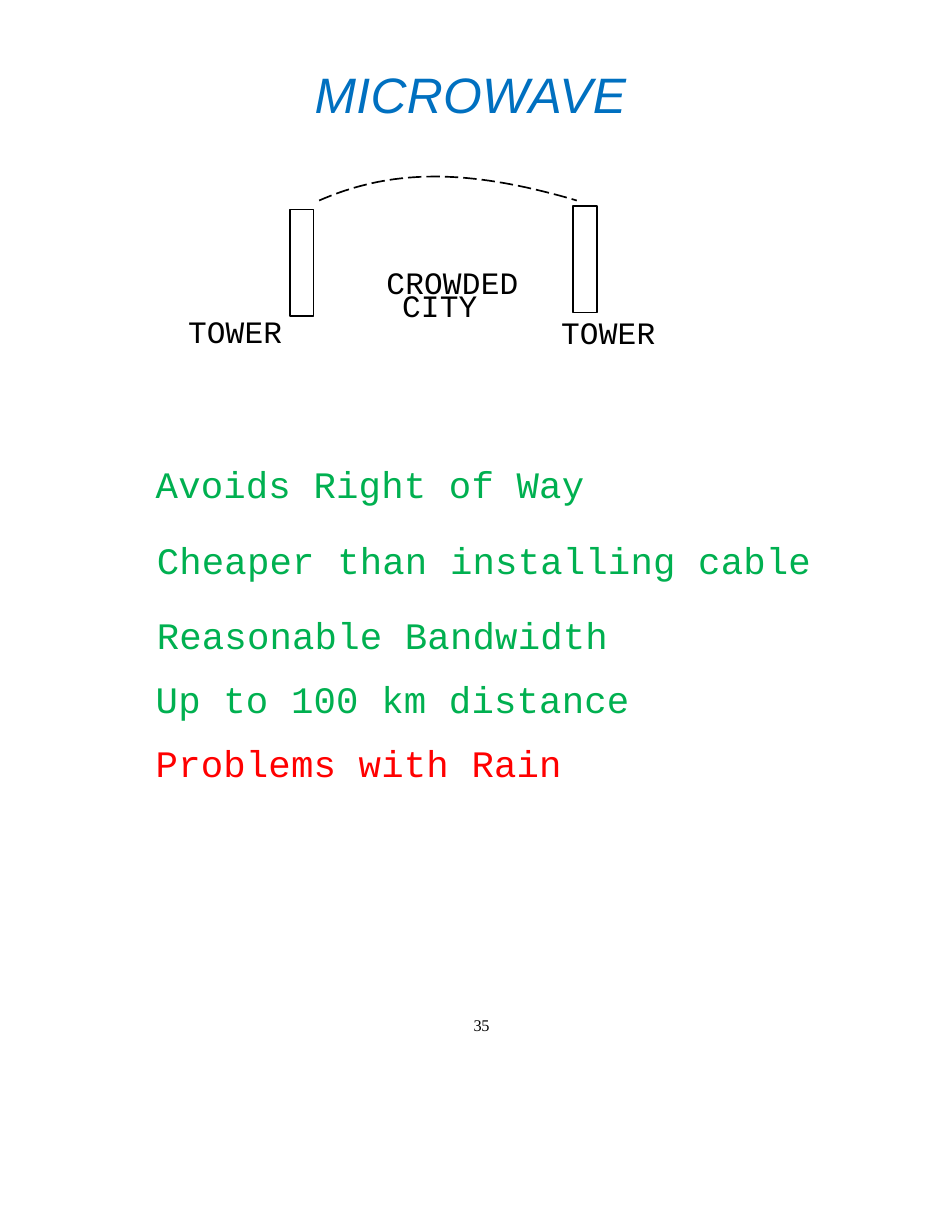
from pptx import Presentation
from pptx.dml.color import RGBColor
from pptx.enum.dml import MSO_LINE_DASH_STYLE as Dash
from pptx.enum.shapes import MSO_SHAPE as Shape
from pptx.util import Pt

BLACK = RGBColor(0x00, 0x00, 0x00)
BLUE = RGBColor(0x00, 0x70, 0xC0)
GREEN = RGBColor(0x00, 0xB0, 0x50)
RED = RGBColor(0xFF, 0x00, 0x00)

TITLE = {"name": "Arial", "size": Pt(32), "italic": True}
LABEL = {"name": "Courier New", "size": Pt(20)}
POINT = {"name": "Courier New", "size": Pt(24)}
NUMBER = {"name": "Times New Roman", "size": Pt(10.5)}


class SlideBuilder:
    line_width = Pt(1.09)

    def __init__(self, page):
        self.page = page

    def outline(self, shape):
        shape.shadow.inherit = False
        shape.fill.background()
        shape.line.color.rgb = BLACK
        shape.line.width = self.line_width

    def tower(self, left, top):
        shape = self.page.shapes.add_shape(
            Shape.RECTANGLE, Pt(left), Pt(top), Pt(15.2), Pt(68.4))
        self.outline(shape)

    def beam(self, start, pull_start, pull_end, end, steps=40):
        corners = (start, pull_start, pull_end, end)
        points = []
        for step in range(steps + 1):
            t = step / steps
            weights = ((1 - t) ** 3, 3 * t * (1 - t) ** 2, 3 * t * t * (1 - t), t ** 3)
            points.append(tuple(
                Pt(sum(w * corner[axis] for w, corner in zip(weights, corners)))
                for axis in (0, 1)))
        builder = self.page.shapes.build_freeform(*points[0])
        builder.add_line_segments(points[1:], close=False)
        shape = builder.convert_to_shape()
        self.outline(shape)
        shape.line.dash_style = Dash.LONG_DASH

    def text(self, left, top, width, height):
        box = self.page.shapes.add_textbox(Pt(left), Pt(top), Pt(width), Pt(height))
        frame = box.text_frame
        for side in ("left", "top", "right", "bottom"):
            setattr(frame, f"margin_{side}", 0)
        frame.word_wrap = True
        return frame

    def fill_para(self, para, words, font, color=BLACK, margin=0.7, indent=0,
                  tracking=0.1, spacing=None):
        properties = para._p.get_or_add_pPr()
        properties.set("marL", str(Pt(margin)))
        properties.set("indent", str(Pt(indent)))
        for name, value in (spacing or {}).items():
            setattr(para, name, value)
        span = para.add_run()
        span.text = words
        for name, value in font.items():
            setattr(span.font, name, value)
        span.font.color.rgb = color
        span._r.get_or_add_rPr().set("spc", str(round(tracking * 100)))

    def label(self, words, place, font, **options):
        self.fill_para(self.text(*place).paragraphs[0], words, font, **options)

    def points(self, place, items):
        frame = self.text(*place)
        for index, (words, options) in enumerate(items):
            para = frame.add_paragraph() if index else frame.paragraphs[0]
            self.fill_para(para, words, POINT, **options)


def main():
    deck = Presentation()
    deck.slide_width, deck.slide_height = Pt(612), Pt(792)
    slide = SlideBuilder(deck.slides.add_slide(deck.slide_layouts[6]))

    slide.label("MICROWAVE", (201.6, 41, 230.4, 38.9), TITLE, color=BLUE, tracking=0.2)

    slide.tower(186.5, 134.6)
    slide.tower(368.6, 132.5)
    slide.beam((205.2, 128.9), (248.4, 110.2), (295.2, 106.6), (370.8, 128.9))
    slide.label("TOWER", (120.2, 200.9, 93.6, 24.5), LABEL)
    slide.label("TOWER", (360, 201.6, 95.8, 24.5), LABEL)
    slide.label("CROWDED CITY", (247.7, 177.8, 100.1, 30.2), LABEL,
                margin=10.8, indent=-10.1, spacing={"line_spacing": Pt(15.3)})

    first = {"color": GREEN, "margin": 4.3}
    wide = {"color": GREEN, "indent": 4.3,
            "spacing": {"line_spacing": 1.57, "space_before": Pt(3.2)}}
    close = {"margin": 4.3, "spacing": {"space_before": Pt(12.5)}}
    slide.points((95.8, 296.6, 443.5, 253.4), [
        ("Avoids Right of Way", first),
        ("Cheaper than installing cable", wide),
        ("Reasonable Bandwidth", wide),
        ("Up to 100 km distance", {**close, "color": GREEN}),
        ("Problems with Rain", {**close, "color": RED}),
    ])

    slide.label("35", (302.4, 653, 15.1, 13), NUMBER, margin=2, tracking=-0.1,
                spacing={"line_spacing": Pt(12.3)})
    deck.save("out.pptx")


if __name__ == "__main__":
    main()
